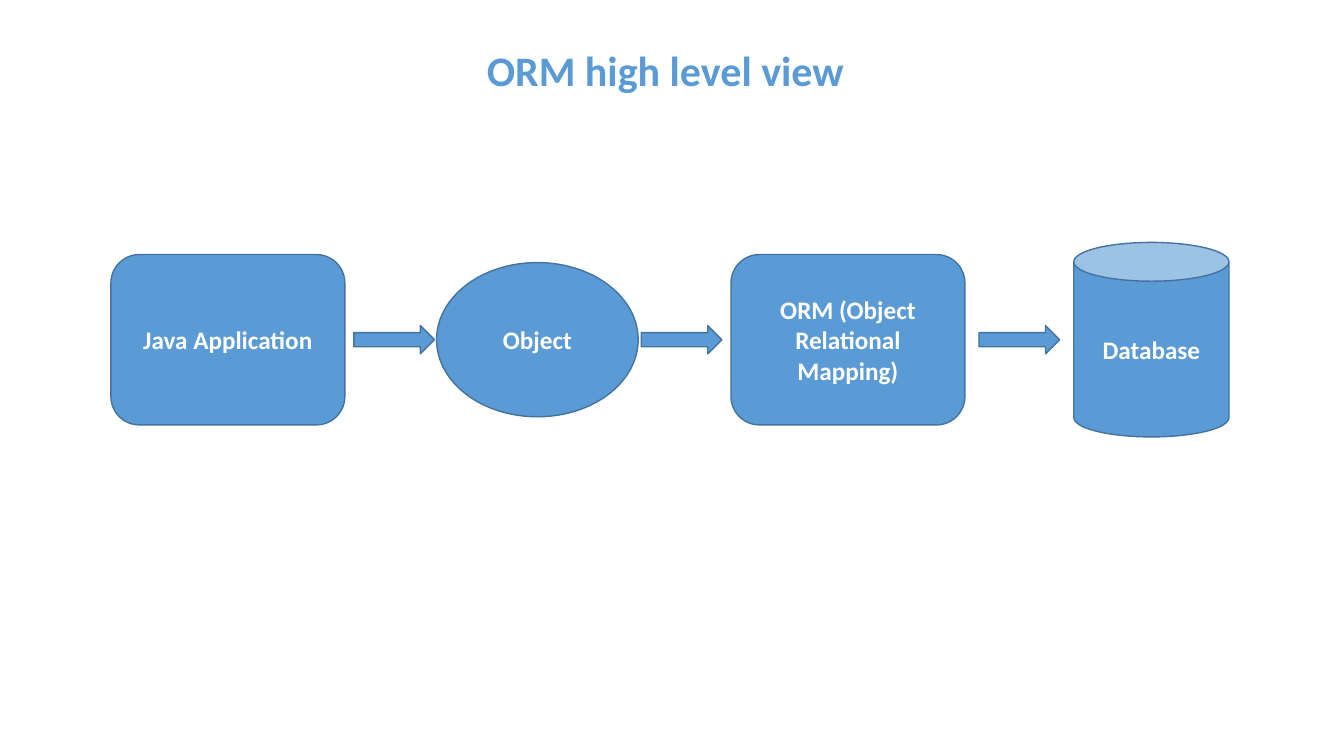
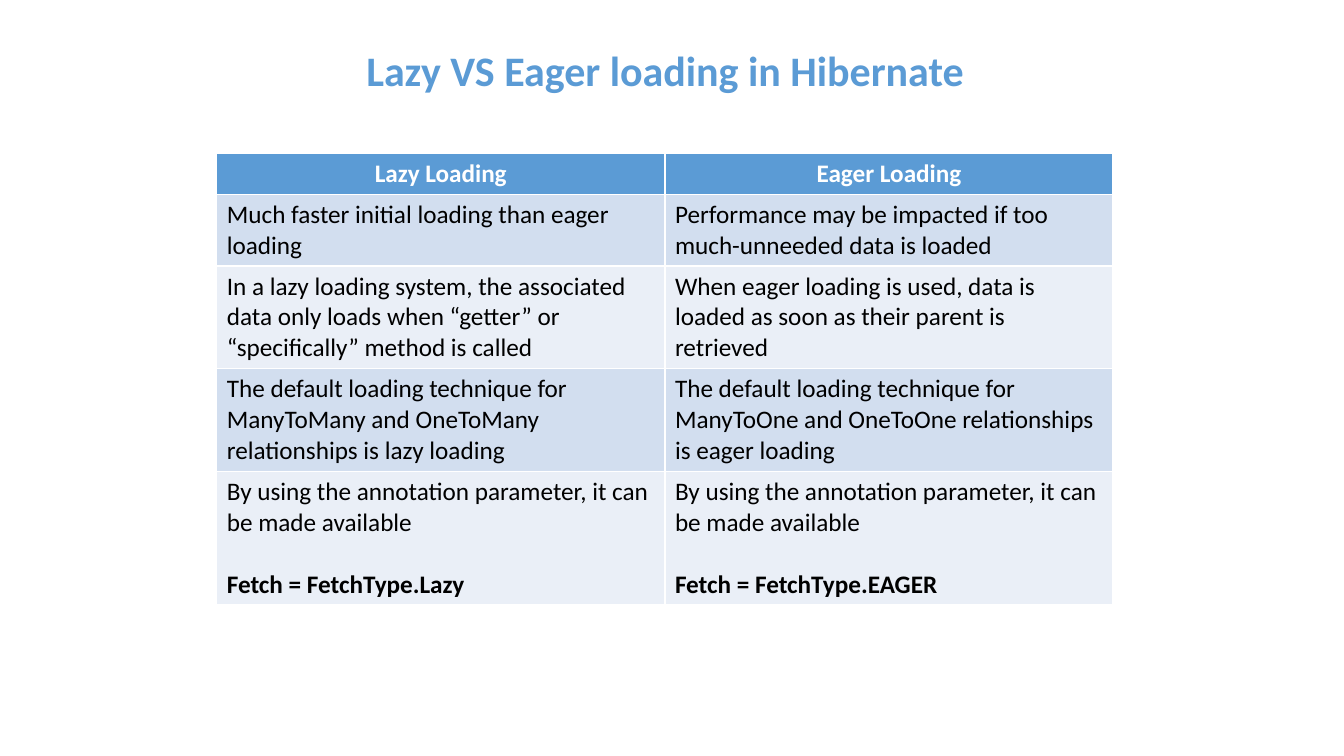
from pptx import Presentation
from pptx.dml.color import RGBColor
from pptx.enum.shapes import MSO_SHAPE
from pptx.enum.text import MSO_ANCHOR, PP_ALIGN
from pptx.util import Inches, Pt

BLUE = RGBColor(0x5B, 0x9B, 0xD5)
OUTLINE = RGBColor(0x43, 0x73, 0x9E)
BAND_DARK = RGBColor(0xD2, 0xDE, 0xEF)
BAND_LIGHT = RGBColor(0xEA, 0xEF, 0xF7)
WHITE = RGBColor(0xFF, 0xFF, 0xFF)
BLACK = RGBColor(0x00, 0x00, 0x00)

ROUNDED = MSO_SHAPE.ROUNDED_RECTANGLE
ELLIPSE = MSO_SHAPE.OVAL
CYLINDER = MSO_SHAPE.CAN
ARROW = MSO_SHAPE.RIGHT_ARROW
MIDDLE = MSO_ANCHOR.MIDDLE
CENTER = PP_ALIGN.CENTER
LEFT = PP_ALIGN.LEFT

TITLE = {"size": Pt(30), "bold": True, "color": BLUE}
LABEL = {"size": Pt(18), "bold": True, "color": WHITE}
BODY = {"size": Pt(18), "bold": False, "color": BLACK}
CODE = {**BODY, "bold": True}

FLOW_CENTER = 3.37
FLOW_STEPS = [
    (ROUNDED, 1.1, 2.32, 1.69, "Java Application"),
    (ELLIPSE, 4.33, 2, 1.53, "Object"),
    (ROUNDED, 7.25, 2.32, 1.69, "ORM (Object Relational Mapping)"),
    (CYLINDER, 10.65, 1.54, 1.93, "Database"),
]
ARROW_LEFTS = [3.51, 6.36, 9.71]

ANNOTATION = "By using the annotation parameter, it can be made available"
LOADING_ROWS = [
    (0.41, ["Lazy Loading"], ["Eager Loading"]),
    (0.71, ["Much faster initial loading than eager loading"],
     ["Performance may be impacted if too much-unneeded data is loaded"]),
    (1.02, ["In a lazy loading system, the associated data only loads when "
            "“getter” or “specifically” method is called"],
     ["When eager loading is used, data is loaded as soon as their parent is retrieved"]),
    (1.02, ["The default loading technique for ManyToMany and OneToMany "
            "relationships is lazy loading"],
     ["The default loading technique for ManyToOne and OneToOne "
      "relationships is eager loading"]),
    (1.32, [ANNOTATION, "Fetch = FetchType.Lazy"],
     [ANNOTATION, "Fetch = FetchType.EAGER"]),
]


class Deck:
    """Holds the shared style and the slide being built."""

    def __init__(self):
        self.presentation = Presentation()
        self.presentation.slide_width = Inches(13.33)
        self.presentation.slide_height = Inches(7.5)
        self.slide = None

    def add_text(self, paragraph, text, style, alignment):
        paragraph.alignment = alignment
        run = paragraph.add_run()
        run.text = text
        run.font.name = "Calibri"
        for name, value in style.items():
            if name == "color":
                run.font.color.rgb = value
            else:
                setattr(run.font, name, value)

    def add_slide(self, title):
        self.slide = self.presentation.slides.add_slide(self.presentation.slide_layouts[6])
        box = self.slide.shapes.add_textbox(Inches(0.85), 0, Inches(11.5), Inches(1.45))
        frame = box.text_frame
        frame.word_wrap = True
        frame.vertical_anchor = MIDDLE
        paragraph = frame.paragraphs[0]
        paragraph.line_spacing = 0.9
        self.add_text(paragraph, title, TITLE, CENTER)

    def add_flow_shape(self, kind, left, width, height, text=None):
        shape = self.slide.shapes.add_shape(
            kind, Inches(left), Inches(FLOW_CENTER - height / 2), Inches(width), Inches(height))
        shape.shadow.inherit = False
        shape.fill.solid()
        shape.fill.fore_color.rgb = BLUE
        shape.line.color.rgb = OUTLINE
        shape.line.width = Pt(1)
        if text:
            frame = shape.text_frame
            frame.word_wrap = True
            frame.vertical_anchor = MIDDLE
            self.add_text(frame.paragraphs[0], text, LABEL, CENTER)

    def add_cell(self, cell, texts, fill, style, alignment):
        cell.fill.solid()
        cell.fill.fore_color.rgb = fill
        frame = cell.text_frame
        self.add_text(frame.paragraphs[0], texts[0], style, alignment)
        for text in texts[1:]:
            paragraph = frame.add_paragraph()
            paragraph.space_before = Pt(22)
            self.add_text(paragraph, text, CODE, alignment)

    def add_table(self, rows, left, top, width):
        height = sum(row[0] for row in rows)
        table = self.slide.shapes.add_table(
            len(rows), 2, Inches(left), Inches(top), Inches(width), Inches(height)).table
        for index, (row_height, *columns) in enumerate(rows):
            table.rows[index].height = Inches(row_height)
            if index == 0:
                look = BLUE, LABEL, CENTER
            else:
                look = (BAND_DARK if index % 2 else BAND_LIGHT), BODY, LEFT
            for column, texts in enumerate(columns):
                self.add_cell(table.cell(index, column), texts, *look)


def main():
    deck = Deck()

    deck.add_slide("ORM high level view")
    for step in FLOW_STEPS:
        deck.add_flow_shape(*step)
    for left in ARROW_LEFTS:
        deck.add_flow_shape(ARROW, left, 0.8, 0.28)

    deck.add_slide("Lazy VS Eager loading in Hibernate")
    deck.add_table(LOADING_ROWS, 2.15, 1.52, 8.89)

    deck.presentation.save("out.pptx")


if __name__ == "__main__":
    main()
